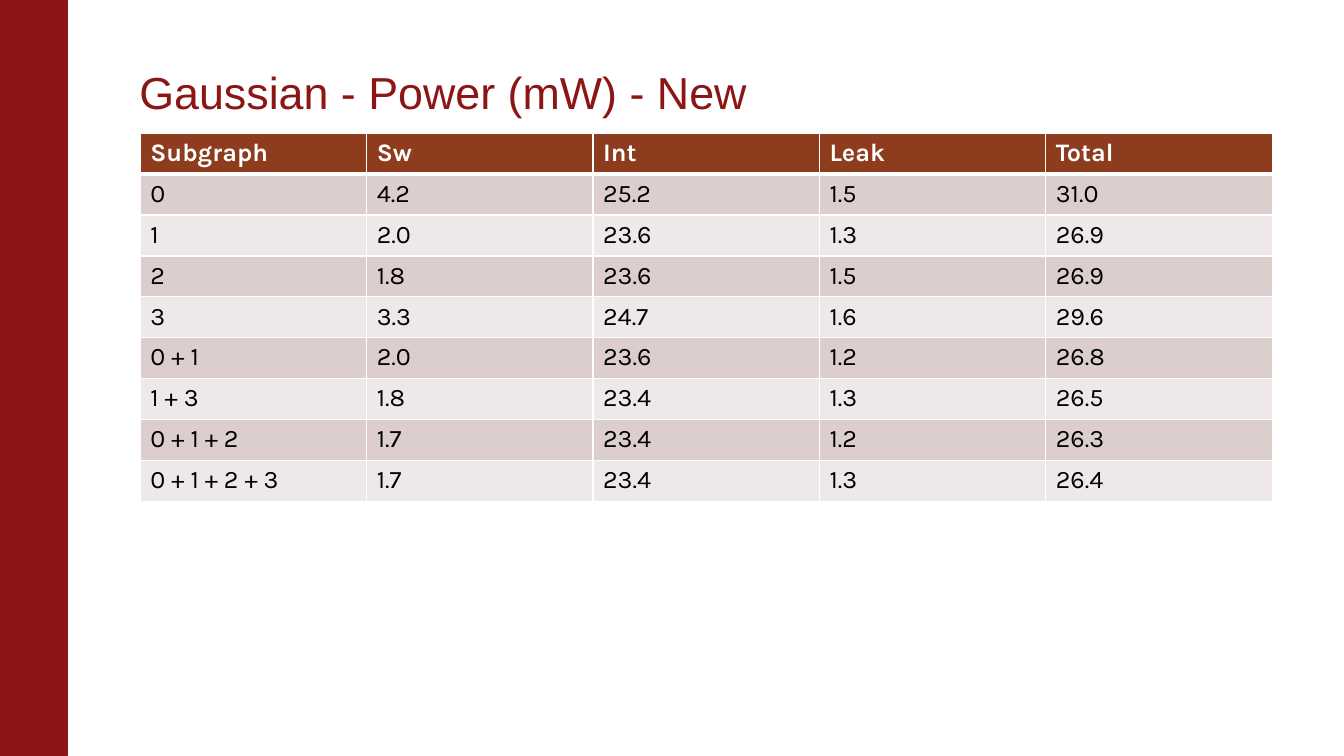
import lxml.etree
import pptx
import pptx.dml.color
import pptx.enum.shapes
import pptx.enum.text
import pptx.oxml.ns
import pptx.util

Pt = pptx.util.Pt
RGBColor = pptx.dml.color.RGBColor

CARDINAL = RGBColor(0x8C, 0x15, 0x15)
RUST = RGBColor(0x8D, 0x3C, 0x1E)
DARK_BAND = RGBColor(0xDB, 0xCE, 0xCD)
LIGHT_BAND = RGBColor(0xEE, 0xE8, 0xE8)
WHITE = RGBColor(0xFF, 0xFF, 0xFF)
BLACK = RGBColor(0, 0, 0)

POWER_ROWS = [
    ("Subgraph", "Sw", "Int", "Leak", "Total"),
    ("0", "4.2", "25.2", "1.5", "31.0"),
    ("1", "2.0", "23.6", "1.3", "26.9"),
    ("2", "1.8", "23.6", "1.5", "26.9"),
    ("3", "3.3", "24.7", "1.6", "29.6"),
    ("0 + 1", "2.0", "23.6", "1.2", "26.8"),
    ("1 + 3", "1.8", "23.4", "1.3", "26.5"),
    ("0 + 1 + 2", "1.7", "23.4", "1.2", "26.3"),
    ("0 + 1 + 2 + 3", "1.7", "23.4", "1.3", "26.4"),
]


def write_text(frame, text, *, font, size, color, bold=False, line_spacing=None):
    paragraph = frame.paragraphs[0]
    paragraph.alignment = pptx.enum.text.PP_ALIGN.LEFT
    paragraph.line_spacing = line_spacing
    run = paragraph.add_run()
    run.text = text
    run.font.name = font
    run.font.size = Pt(size)
    run.font.bold = bold
    run.font.color.rgb = color


def add_border(cell, side, width, color):
    qn = pptx.oxml.ns.qn
    properties = cell._tc.get_or_add_tcPr()
    line = lxml.etree.SubElement(properties, qn(f"a:ln{side}"), w=str(Pt(width)))
    fill = lxml.etree.SubElement(line, qn("a:solidFill"))
    lxml.etree.SubElement(fill, qn("a:srgbClr"), val=str(color))


class SlideBuilder:
    title_font = "Arial"
    table_font = "Karla"

    def __init__(self, slide):
        self.slide = slide

    def bar(self, left, top, width, height, color):
        bar = self.slide.shapes.add_shape(
            pptx.enum.shapes.MSO_SHAPE.RECTANGLE,
            Pt(left), Pt(top), Pt(width), Pt(height))
        bar.shadow.inherit = False
        bar.fill.solid()
        bar.fill.fore_color.rgb = color
        bar.line.color.rgb = color
        bar.line.width = Pt(0.75)

    def title(self, text, left, top, width, height):
        title = self.slide.shapes.title
        title.left, title.top = Pt(left), Pt(top)
        title.width, title.height = Pt(width), Pt(height)
        frame = title.text_frame
        frame.word_wrap = True
        frame.auto_size = pptx.enum.text.MSO_AUTO_SIZE.NONE
        frame.vertical_anchor = pptx.enum.text.MSO_ANCHOR.BOTTOM
        frame.margin_left = 0
        write_text(frame, text, font=self.title_font, size=32,
                   color=CARDINAL, line_spacing=0.85)

    def table(self, rows, left, top, column_width, row_height):
        columns = len(rows[0])
        table = self.slide.shapes.add_table(
            len(rows), columns, Pt(left), Pt(top),
            Pt(column_width * columns), Pt(row_height * len(rows))).table
        for column in table.columns:
            column.width = Pt(column_width)
        for row_index, values in enumerate(rows):
            table.rows[row_index].height = Pt(row_height)
            header = row_index == 0
            band = RUST if header else DARK_BAND if row_index % 2 else LIGHT_BAND
            widths = {"L": 1, "R": 1, "T": 3 if row_index == 1 else 1,
                      "B": 3 if header else 1}
            for column_index, value in enumerate(values):
                cell = table.cell(row_index, column_index)
                for side, width in widths.items():
                    add_border(cell, side, width, WHITE)
                cell.fill.solid()
                cell.fill.fore_color.rgb = band
                write_text(cell.text_frame, value, font=self.table_font, size=18,
                           color=WHITE if header else BLACK, bold=header)


presentation = pptx.Presentation()
presentation.slide_width = Pt(960)
presentation.slide_height = Pt(540)
power_slide = SlideBuilder(
    presentation.slides.add_slide(presentation.slide_layouts[5]))
power_slide.bar(0, 0, 48, 540, CARDINAL)
power_slide.title("Gaussian - Power (mW) - New", 99.5, 37.5, 809, 51)
power_slide.table(POWER_ROWS, 100.25, 95.25, 161.7, 29.2)
presentation.save("out.pptx")
